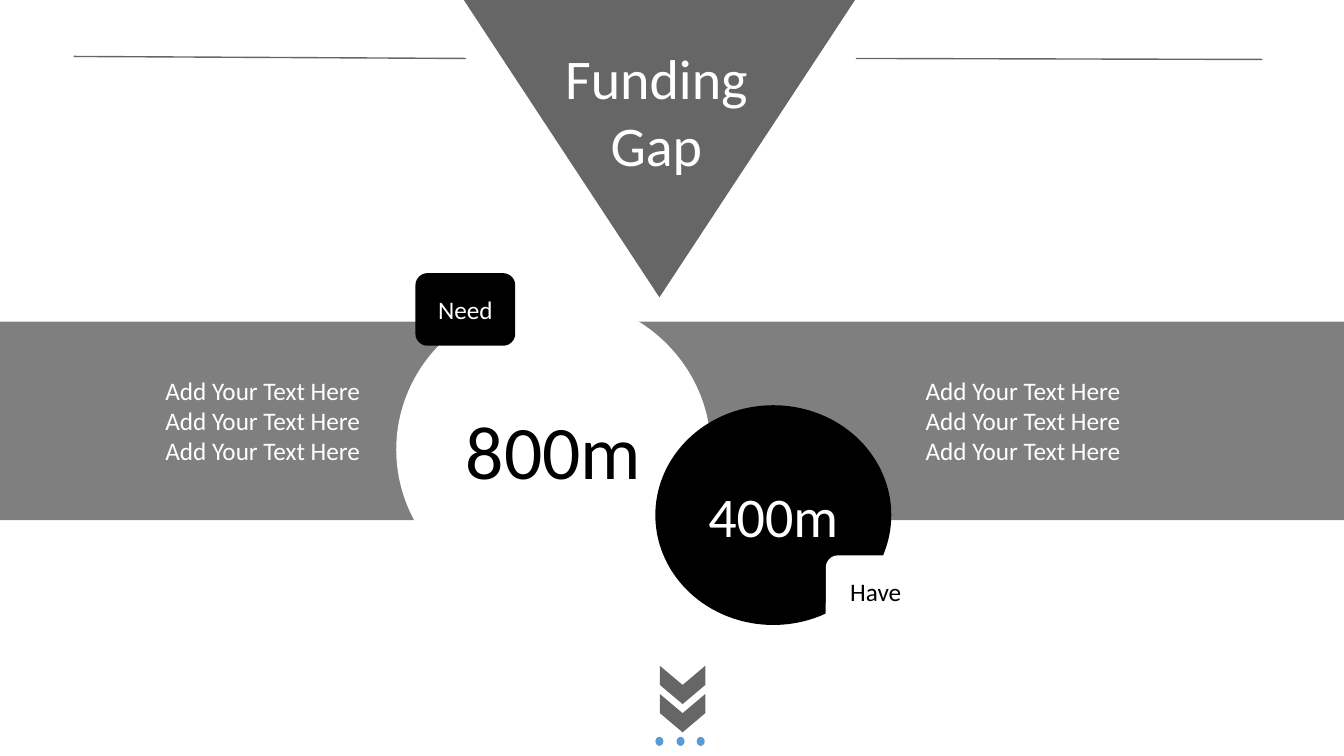
from lxml.etree import SubElement
from pptx import Presentation
from pptx.dml.color import RGBColor
from pptx.enum.shapes import MSO_CONNECTOR, MSO_SHAPE
from pptx.enum.text import MSO_ANCHOR, MSO_AUTO_SIZE, PP_ALIGN
from pptx.oxml.ns import qn
from pptx.util import Emu, Pt

PX = 9144  # 100 px to the inch
FONT = "Calibri"
COLORS = {"black": "000000", "white": "FFFFFF", "dot": "5B9BD5"}


def px(*lengths):
    return [Emu(length * PX) for length in lengths]


def paint(fill, color, opacity=100):
    fill.solid()
    fill.fore_color.rgb = RGBColor.from_string(COLORS[color])
    if opacity < 100:
        for rgb in fill._xPr.iter(qn("a:srgbClr")):
            SubElement(rgb, qn("a:alpha"), val=str(opacity * 1000))


def style(paragraph, size, color, align):
    paragraph.alignment = align
    paragraph.font.name = FONT
    paragraph.font.size = Pt(size)
    paragraph.font.color.rgb = RGBColor.from_string(COLORS[color])


def add_figure(slide, kind, box, color, opacity=100, rotation=0):
    figure = slide.shapes.add_shape(kind, *px(*box))
    figure.shadow.inherit = False
    figure.rotation = rotation
    figure.line.fill.background()
    paint(figure.fill, color, opacity)
    return figure


def add_label(slide, kind, box, color, text, size, text_color):
    frame = add_figure(slide, kind, box, color).text_frame
    frame.vertical_anchor = MSO_ANCHOR.MIDDLE
    frame.text = text
    style(frame.paragraphs[0], size, text_color, PP_ALIGN.CENTER)


def add_rule(slide, *ends):
    rule = slide.shapes.add_connector(MSO_CONNECTOR.STRAIGHT, *px(*ends))
    rule.line.width = Pt(1)
    paint(rule.line.fill, "black", 60)
    SubElement(rule._element.spPr, qn("a:effectLst"))


def fill_placeholder(slide, holder, box, lines, size, align):
    holder.left, holder.top, holder.width, holder.height = px(*box)
    slide.shapes._spTree.append(holder._element)  # bring to front
    frame = holder.text_frame
    frame.word_wrap = False
    frame.auto_size = MSO_AUTO_SIZE.NONE
    frame.vertical_anchor = MSO_ANCHOR.TOP
    frame.text = "\n".join(lines)
    for paragraph in frame.paragraphs:
        properties = paragraph._p.get_or_add_pPr()
        properties.set("marL", "0")
        properties.set("indent", "0")
        paragraph.line_spacing = 1.0
        paragraph.space_before = Pt(0)
        SubElement(properties, qn("a:buNone"))
        style(paragraph, size, "white", align)


def main():
    deck = Presentation()
    deck.slide_width, deck.slide_height = px(1333, 750)
    slide = deck.slides.add_slide(deck.slide_layouts[3])
    title, need_notes, have_notes = list(slide.placeholders)[:3]

    # Header triangle and rules
    add_figure(slide, MSO_SHAPE.ISOSCELES_TRIANGLE, (460, 0, 388, 295), "black", 60, 180)
    add_rule(slide, 73, 56, 462, 58)
    add_rule(slide, 849, 58, 1252, 59)

    # Band with the two amounts
    add_figure(slide, MSO_SHAPE.RECTANGLE, (0, 319, 1333, 197), "black", 50)
    add_label(slide, MSO_SHAPE.OVAL, (393, 295, 312, 302), "white", "800m", 54, "black")
    add_label(slide, MSO_SHAPE.OVAL, (650, 402, 234, 218), "black", "400m", 40, "white")

    # Tags on the amounts
    tag = MSO_SHAPE.ROUNDED_RECTANGLE
    add_label(slide, tag, (412, 271, 99, 72), "black", "Need", 18, "white")
    add_label(slide, tag, (819, 551, 99, 72), "white", "Have", 18, "black")

    # Chevrons and dots at the foot
    for top in (657, 685):
        add_figure(slide, MSO_SHAPE.CHEVRON, (658, top, 38, 45), "black", 60, 90)
    for left in (650, 671, 691):
        add_figure(slide, MSO_SHAPE.FLOWCHART_CONNECTOR, (left, 731, 8, 9), "dot")

    # Title and side notes
    fill_placeholder(slide, title, (538, 38, 226, 145), ["Funding", "Gap"], 40, PP_ALIGN.CENTER)
    for notes, left in ((need_notes, 154), (have_notes, 908)):
        fill_placeholder(slide, notes, (left, 367, 216, 101),
                         ["Add Your Text Here"] * 3, 18, PP_ALIGN.LEFT)

    deck.save("out.pptx")


if __name__ == "__main__":
    main()
